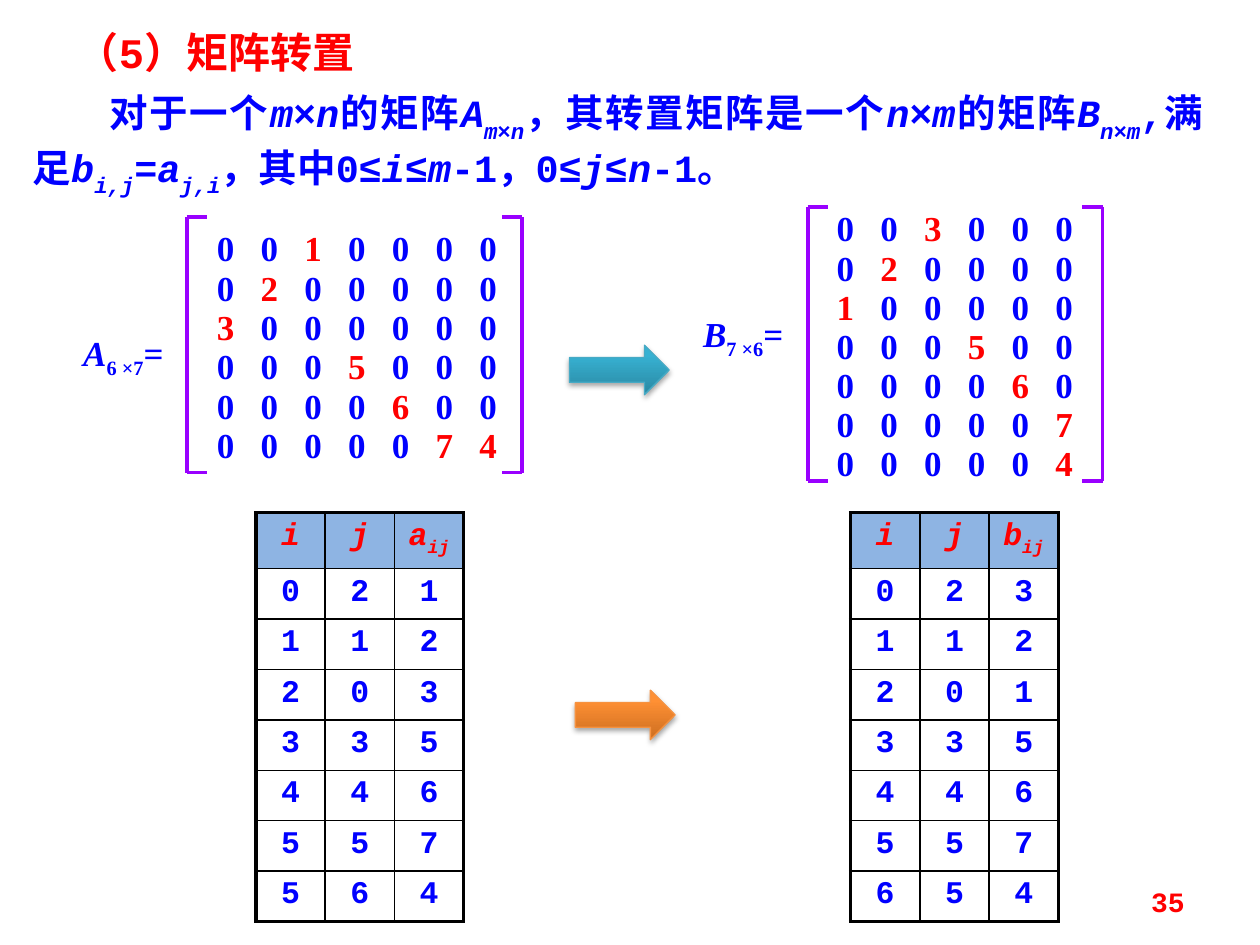
from dataclasses import dataclass
from typing import NamedTuple

from lxml import etree
from pptx import Presentation
from pptx.dml.color import RGBColor
from pptx.enum import shapes, text
from pptx.oxml import ns
from pptx.util import Pt

COLORS = {
    "blue": "0000FF", "red": "FF0000", "bracket": "9900FF", "black": "000000",
    "header": "8EB4E3",
    "teal_dark": "2A88A2", "teal_light": "37B1D2", "teal_line": "46AAC5",
    "orange_dark": "CC6E20", "orange_light": "FF9034", "orange_line": "F69240",
}
MONO, SERIF = "Courier New", "Times New Roman"
ROW_HEIGHT, COLUMN_WIDTH, DIGIT_STEP = 28.8, 39.6, 25
ALIGN = text.PP_ALIGN


class Span(NamedTuple):
    text: str
    italic: bool = False
    baseline: int = 0
    color: str = "blue"


class Box(NamedTuple):
    left: float
    top: float
    width: float
    height: float


@dataclass
class Matrix:
    name: str
    size: str
    label: Box
    digits: Box
    pitch: float
    bracket: Box
    rows: list[str]


@dataclass
class TripleTable:
    left: float
    name: str
    rows: list[str]


@dataclass
class Arrow:
    left: float
    top: float
    color: str


def rgb(name: str) -> RGBColor:
    return RGBColor.from_string(COLORS[name])


def add_xml(parent, tag: str, **attributes: str):
    return etree.SubElement(parent, ns.qn(tag), attributes)


def write(paragraph, spans: list[Span], font: str, size: float) -> None:
    for span in spans:
        run = paragraph.add_run()
        run.text = span.text
        run.font.name, run.font.size = font, Pt(size)
        run.font.bold, run.font.italic = True, span.italic
        run.font.color.rgb = rgb(span.color)
        if span.baseline:
            run._r.get_or_add_rPr().set("baseline", str(span.baseline * 1000))


def place(shape, box: Box) -> None:
    shape.left, shape.top, shape.width, shape.height = map(Pt, box)


def prepare_placeholder(shape, box: Box):
    place(shape, box)
    frame = shape.text_frame
    frame.word_wrap, frame.auto_size = True, text.MSO_AUTO_SIZE.NONE
    frame.vertical_anchor = text.MSO_ANCHOR.TOP
    paragraph = frame.paragraphs[0]
    paragraph.space_before = Pt(0)
    return paragraph


def add_text(parent, box: Box, spans: list[Span], font: str, size: float, align):
    frame = parent.add_textbox(*map(Pt, box)).text_frame
    frame.word_wrap = True
    paragraph = frame.paragraphs[0]
    paragraph.alignment = align
    write(paragraph, spans, font, size)
    return frame


def add_line(parent, start: tuple, end: tuple) -> None:
    line = parent.add_connector(shapes.MSO_CONNECTOR.STRAIGHT, *map(Pt, start + end))
    line.line.color.rgb, line.line.width = rgb("bracket"), Pt(2.25)
    add_xml(line._element.spPr, "a:effectLst")


def add_digits(parent, box: Box, digits: str) -> None:
    frame = parent.add_textbox(*map(Pt, box)).text_frame
    frame.word_wrap = True
    frame.margin_left = frame.margin_right = frame.margin_top = frame.margin_bottom = 0
    paragraph = frame.paragraphs[0]
    tabs = add_xml(paragraph._p.get_or_add_pPr(), "a:tabLst")
    for column in range(1, len(digits)):
        add_xml(tabs, "a:tab", pos=str(Pt(column * DIGIT_STEP)), algn="l")
    spans = [Span(("\t" if column else "") + digit, color="blue" if digit == "0" else "red")
             for column, digit in enumerate(digits)]
    write(paragraph, spans, SERIF, 20)


def add_matrix(slide, matrix: Matrix) -> None:
    group = slide.shapes.add_group_shape().shapes
    label = [Span(matrix.name, True), Span(matrix.size, baseline=-25), Span("=")]
    add_text(group, matrix.label, label, SERIF, 20, ALIGN.CENTER)
    for index, digits in enumerate(matrix.rows):
        top = matrix.digits.top + index * matrix.pitch
        add_digits(group, matrix.digits._replace(top=top), digits)
    left, top, width, height = matrix.bracket
    for x, arm in ((left, 11.5), (left + width, -11.5)):
        add_line(group, (x, top), (x, top + height))
        for y in (top, top + height):
            add_line(group, (x, y), (x + arm, y))


def add_triple_table(slide, triples: TripleTable) -> None:
    count = len(triples.rows) + 1
    table = slide.shapes.add_table(count, 3, Pt(triples.left), Pt(293), Pt(3 * COLUMN_WIDTH),
                                   Pt(count * ROW_HEIGHT)).table
    table.first_row = table.horz_banding = False
    for column in table.columns:
        column.width = Pt(COLUMN_WIDTH)
    for row in table.rows:
        row.height = Pt(ROW_HEIGHT)
    table.rows[0].height = Pt(32)
    header = [[Span("i", True, color="red")], [Span("j", True, color="red")],
              [Span(triples.name, True, color="red"), Span("ij", True, -25, "red")]]
    contents = [header] + [[[Span(digit)] for digit in row] for row in triples.rows]
    for r, row in enumerate(contents):
        for c, spans in enumerate(row):
            cell = table.cell(r, c)
            paragraph = cell.text_frame.paragraphs[0]
            paragraph.alignment = ALIGN.CENTER
            write(paragraph, spans, MONO, 18)
            properties = cell._tc.get_or_add_tcPr()
            outer = {"L": c == 0, "R": c == 2, "T": r == 0, "B": r == count - 1}
            for side, is_outer in outer.items():
                border = add_xml(properties, f"a:ln{side}", w=str(Pt(2.25 if is_outer else 1)))
                add_xml(add_xml(border, "a:solidFill"), "a:srgbClr", val=COLORS["black"])
            if r == 0:
                cell.fill.solid()
                cell.fill.fore_color.rgb = rgb("header")
            else:
                cell.fill.background()


def add_arrow(slide, arrow: Arrow) -> None:
    shape = slide.shapes.add_shape(shapes.MSO_SHAPE.RIGHT_ARROW, Pt(arrow.left), Pt(arrow.top),
                                   Pt(57), Pt(28.3))
    shape.fill.gradient()
    shape.fill.gradient_angle = 90
    dark, light = shape.fill.gradient_stops
    dark.color.rgb, light.color.rgb = rgb(arrow.color + "_dark"), rgb(arrow.color + "_light")
    dark.position, light.position = 0, 0.8
    shape.line.color.rgb, shape.line.width = rgb(arrow.color + "_line"), Pt(0.75)
    shape.shadow.inherit = False
    effects = shape._element.spPr.find(ns.qn("a:effectLst"))
    shadow = add_xml(effects, "a:outerShdw", blurRad=str(Pt(3.1)), dist=str(Pt(1.8)),
                     dir="5400000", rotWithShape="0")
    add_xml(add_xml(shadow, "a:srgbClr", val=COLORS["black"]), "a:alpha", val="35000")


DEFINITION = [
    Span("对于一个"), Span("m", True), Span("×"), Span("n", True), Span("的矩阵"),
    Span("A", True), Span("m×n", True, -30), Span("，其转置矩阵是一个"),
    Span("n", True), Span("×"), Span("m", True), Span("的矩阵"),
    Span("B", True), Span("n×m", True, -30), Span(",满足"),
    Span("b", True), Span("i,j", True, -30), Span("="), Span("a", True), Span("j,i", True, -30),
    Span("，其中0≤"), Span("i", True), Span("≤"), Span("m", True), Span("-1，0≤"),
    Span("j", True), Span("≤"), Span("n", True), Span("-1。"),
]
MATRICES = [
    Matrix("A", "6 ×7", Box(33.8, 185.8, 73.4, 31.7), Box(124, 129.6, 168.5, 24.5), 22.5,
           Box(106.7, 124, 191.4, 146),
           ["0010000", "0200000", "3000000", "0005000", "0000600", "0000074"]),
    Matrix("B", "7 ×6", Box(388, 175, 73.4, 31.7), Box(478, 118.3, 140.4, 24.5), 22.3,
           Box(461.5, 118.3, 168.5, 156.5),
           ["003000", "020000", "100000", "000500", "000060", "000007", "000004"]),
]
TABLES = [
    TripleTable(146.2, "a", ["021", "112", "203", "335", "446", "557", "564"]),
    TripleTable(486, "b", ["023", "112", "201", "335", "446", "557", "654"]),
]
ARROWS = [Arrow(325.4, 197.3, "teal"), Arrow(328.8, 394.4, "orange")]


def main() -> None:
    presentation = Presentation()
    presentation.slide_width, presentation.slide_height = Pt(720), Pt(540)
    slide = presentation.slides.add_slide(presentation.slide_layouts[1])

    title = prepare_placeholder(slide.shapes.title, Box(36.7, 11.5, 200, 36))
    title.alignment = ALIGN.LEFT
    write(title, [Span("（5）矩阵转置", color="red")], MONO, 24)

    body = prepare_placeholder(slide.placeholders[1], Box(11.5, 47.5, 683.3, 60.5))
    body.alignment = ALIGN.JUSTIFY
    properties = body._p.get_or_add_pPr()
    properties.set("marL", "0")
    properties.set("indent", str(Pt(44)))
    add_xml(properties, "a:buNone")
    write(body, DEFINITION, MONO, 22)

    for triples in TABLES:
        add_triple_table(slide, triples)
    for arrow in ARROWS:
        add_arrow(slide, arrow)
    for matrix in MATRICES:
        add_matrix(slide, matrix)
    number = add_text(slide.shapes, Box(516.2, 500.4, 167.8, 28.8), [Span("35", color="red")],
                      MONO, 16, ALIGN.RIGHT)
    number.vertical_anchor = text.MSO_ANCHOR.MIDDLE
    presentation.save("out.pptx")


if __name__ == "__main__":
    main()
